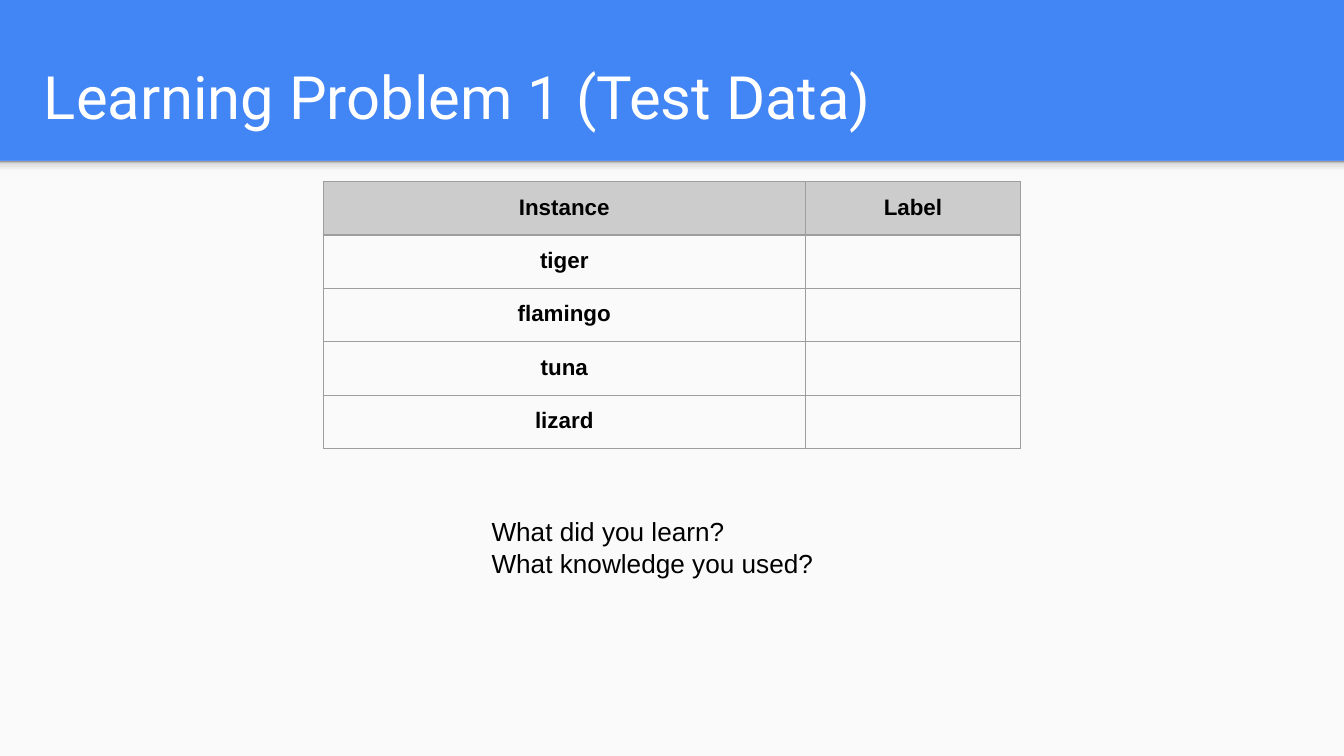
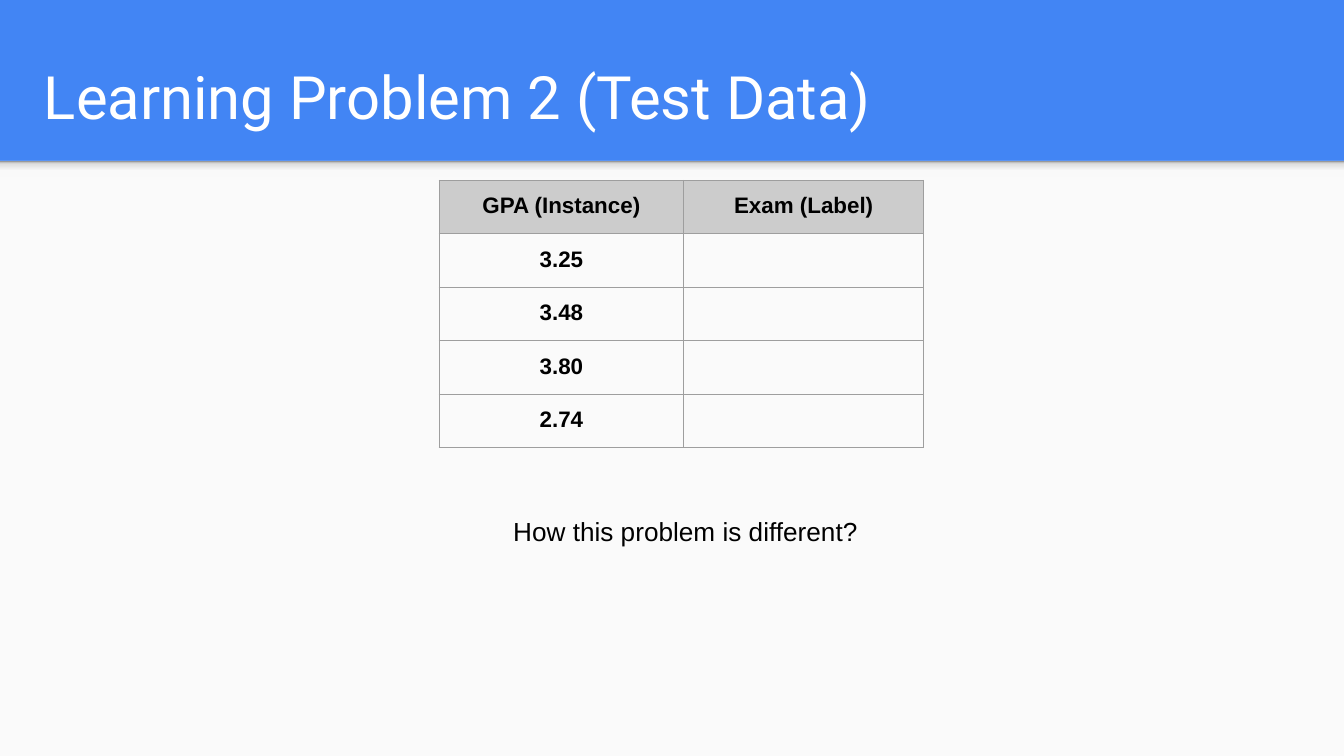
from dataclasses import dataclass

from lxml.etree import SubElement
from pptx import Presentation
from pptx.dml.color import RGBColor
from pptx.enum.shapes import MSO_SHAPE as Preset
from pptx.enum.text import MSO_ANCHOR as Anchor, MSO_AUTO_SIZE as AutoSize, PP_ALIGN as Align
from pptx.oxml import parse_xml
from pptx.oxml.ns import nsdecls, qn
from pptx.util import Cm, Pt


@dataclass(frozen=True)
class Theme:
    """Colours, fonts, type sizes and shared measures."""
    banner: str = "4285F4"
    paper: str = "FAFAFA"
    title_ink: str = "FFFFFF"
    ink: str = "000000"
    header: str = "CCCCCC"
    rule: str = "9E9E9E"
    shade: tuple = ((0, "F9F9F9"), (36, "F9F9F9"), (80, "DEDEDE"), (100, "999999"))
    title_font: str = "Roboto"
    body_font: str = "Arial"
    title_size: int = 32
    question_size: int = 14
    cell_size: int = 12
    rule_width: float = 0.75
    inset: float = 0.25
    row_height: float = 1.01
    width: float = 25.4
    height: float = 14.29
    banner_height: float = 3.04


THEME = Theme()


def style_font(font, name, size, colour, bold=False):
    """Set the face, size, colour and weight of a font."""
    font.name, font.size, font.bold = name, Pt(size), bold
    font.color.rgb = RGBColor.from_string(colour)


def set_insets(holder):
    """Give a text frame or table cell the shared margins."""
    holder.margin_left = holder.margin_right = Cm(THEME.inset)
    holder.margin_top = holder.margin_bottom = Cm(THEME.inset)


def add_block(slide, top, height):
    """Add a full-width rectangle without outline or shadow."""
    block = slide.shapes.add_shape(Preset.RECTANGLE, 0, Cm(top), Cm(THEME.width), Cm(height))
    block.shadow.inherit = False
    block.line.fill.background()
    return block


def add_page(slide):
    """Add the paper area and the soft shade below the banner."""
    paper = add_block(slide, THEME.banner_height, THEME.height - THEME.banner_height)
    paper.fill.solid()
    paper.fill.fore_color.rgb = RGBColor.from_string(THEME.paper)

    shade = add_block(slide, THEME.banner_height, 0.3)
    stops = "".join(
        f'<a:gs pos="{place * 1000}"><a:srgbClr val="{colour}"/></a:gs>'
        for place, colour in THEME.shade
    )
    gradient = parse_xml(
        f'<a:gradFill {nsdecls("a")} rotWithShape="1"><a:gsLst>{stops}</a:gsLst>'
        '<a:lin ang="16200000" scaled="0"/></a:gradFill>'
    )
    shade.element.spPr.find(qn("a:prstGeom")).addnext(gradient)


def set_title(slide, heading):
    """Place and format the slide title."""
    title = slide.shapes.title
    title.left, title.top, title.width, title.height = Cm(0.58), Cm(0.61), Cm(22.83), Cm(2.13)
    frame = title.text_frame
    frame.text = heading
    frame.word_wrap, frame.auto_size = True, AutoSize.NONE
    frame.vertical_anchor = Anchor.BOTTOM
    set_insets(frame)
    paragraph = frame.paragraphs[0]
    paragraph.alignment = Align.LEFT
    style_font(paragraph.font, THEME.title_font, THEME.title_size, THEME.title_ink)


def set_borders(cell):
    """Draw the grey rule on all four sides of a cell."""
    properties = cell._tc.get_or_add_tcPr()
    for side in ("lnL", "lnR", "lnT", "lnB"):
        line = SubElement(properties, qn(f"a:{side}"), w=str(Pt(THEME.rule_width)))
        fill = SubElement(line, qn("a:solidFill"))
        SubElement(fill, qn("a:srgbClr"), val=THEME.rule)


def fill_cell(cell, label, is_header):
    """Write and format one cell of a test table."""
    cell.text = label
    set_insets(cell)
    set_borders(cell)
    if is_header:
        cell.fill.solid()
        cell.fill.fore_color.rgb = RGBColor.from_string(THEME.header)
    else:
        cell.fill.background()
    paragraph = cell.text_frame.paragraphs[0]
    paragraph.alignment = Align.CENTER
    style_font(paragraph.font, THEME.body_font, THEME.cell_size, THEME.ink, bold=True)
    if not label:
        SubElement(paragraph._p, qn("a:endParaRPr"), sz=str(THEME.cell_size * 100))


def add_test_table(slide, left, top, widths, headers, instances):
    """Add a table of instances whose labels are left open."""
    rows = [headers] + [(instance, "") for instance in instances]
    table = slide.shapes.add_table(
        len(rows), len(headers), Cm(left), Cm(top),
        Cm(sum(widths)), Cm(THEME.row_height * len(rows)),
    ).table
    table.first_row = table.horz_banding = False
    for column, width in zip(table.columns, widths):
        column.width = Cm(width)
    for row_index, labels in enumerate(rows):
        table.rows[row_index].height = Cm(THEME.row_height)
        for column_index, label in enumerate(labels):
            fill_cell(table.cell(row_index, column_index), label, row_index == 0)


def add_questions(slide, questions, indent=0):
    """Add the discussion questions below the table."""
    frame = slide.shapes.add_textbox(Cm(9.04), Cm(9.5), Cm(7.95), Cm(1.88)).text_frame
    frame.word_wrap = True
    set_insets(frame)
    frame.margin_left = Cm(THEME.inset + indent)
    frame.text = "\n".join(questions)
    for paragraph in frame.paragraphs:
        style_font(paragraph.font, THEME.body_font, THEME.question_size, THEME.ink)


def add_problem_slide(deck, heading):
    """Add a titled slide with the shared page."""
    slide = deck.slides.add_slide(deck.slide_layouts.get_by_name("Title Only"))
    add_page(slide)
    set_title(slide, heading)
    return slide


def main():
    """Build and save the two test data slides."""
    deck = Presentation()
    deck.slide_width, deck.slide_height = Cm(THEME.width), Cm(THEME.height)
    backdrop = deck.slide_master.background.fill
    backdrop.solid()
    backdrop.fore_color.rgb = RGBColor.from_string(THEME.banner)

    animals = add_problem_slide(deck, "Learning Problem 1 (Test Data)")
    add_test_table(animals, 6.11, 3.43, (9.11, 4.07), ("Instance", "Label"),
                   ("tiger", "flamingo", "tuna", "lizard"))
    add_questions(animals, ("What did you learn?", "What knowledge you used?"))

    grades = add_problem_slide(deck, "Learning Problem 2 (Test Data)")
    add_test_table(grades, 8.3, 3.41, (4.62, 4.54), ("GPA (Instance)", "Exam (Label)"),
                   ("3.25", "3.48", "3.80", "2.74"))
    add_questions(grades, ("How this problem is different?",), indent=0.41)

    deck.save("out.pptx")


if __name__ == "__main__":
    main()
